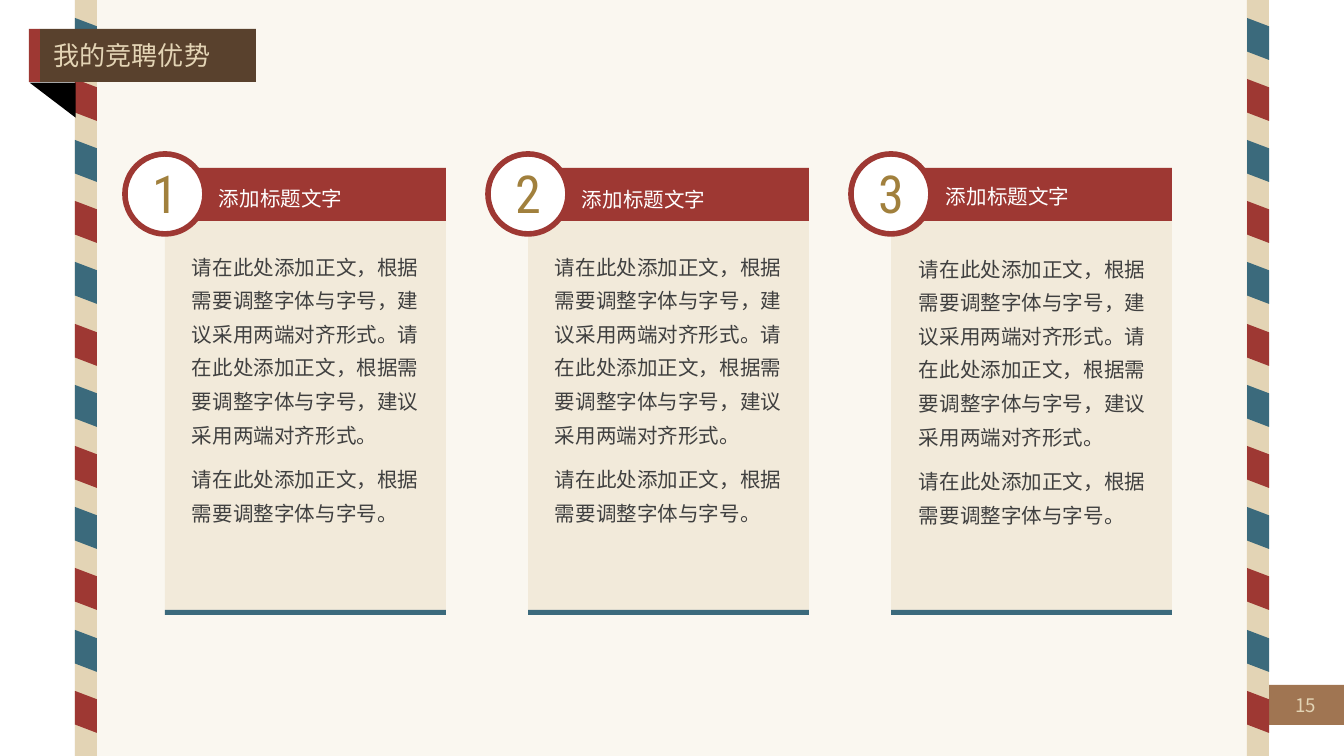
from dataclasses import dataclass

from lxml import etree
from pptx import Presentation
from pptx import util as u
from pptx.dml.color import RGBColor
from pptx.enum import shapes, text
from pptx.oxml.ns import qn

EMU_PER_PX = 9144000 / 1344
SANS = "Noto Sans CJK SC"
NUMERAL = "Roboto Condensed"
RED, BLUE, SAND = "9E3833", "3B6A7C", "E3D4B5"
RECT = shapes.MSO_SHAPE.RECTANGLE
SENTENCE = "请在此处添加正文，根据需要调整字体与字号"
BODY = [f"{SENTENCE}，建议采用两端对齐形式。" * 2, f"{SENTENCE}。"]


@dataclass
class Card:
    number: str
    heading: str
    heading_y: int
    body_y: int
    text_shift: int = 0


CARDS = [
    Card("1", "添加标题文字", 170, 239),
    Card("2", "添加标题文字", 171, 239),
    Card("3", "添加标题文字", 168, 241, 1),
]


def px(value: int) -> u.Emu:
    return u.Emu(round(value * EMU_PER_PX))


def rgb(colour: str) -> RGBColor:
    return RGBColor.from_string(colour)


def add_shape(parent, kind, x: int, y: int, w: int, h: int, fill: str,
              line: str | None = None, rotation: int = 0):
    sp = parent.add_shape(kind, px(x), px(y), px(w), px(h))
    sp.shadow.inherit = False
    sp.fill.solid()
    sp.fill.fore_color.rgb = rgb(fill)
    if line:
        sp.line.color.rgb = rgb(line)
        sp.line.width = u.Pt(3)
    else:
        sp.line.fill.background()
    sp.rotation = rotation
    return sp


def add_text(parent, content: str | list[str], x: int, y: int, w: int, h: int, *,
             size: int, colour: str, font: str = SANS, align=None,
             anchor=text.MSO_ANCHOR.TOP, wrap: bool = True, grow: bool = True,
             side_inset: float = 0.1, spacing: int | None = None, after: int = 0):
    tf = parent.add_textbox(px(x), px(y), px(w), px(h)).text_frame
    tf.word_wrap = wrap
    tf.vertical_anchor = anchor
    tf.margin_left = tf.margin_right = u.Inches(side_inset)
    if grow:
        tf.auto_size = text.MSO_AUTO_SIZE.SHAPE_TO_FIT_TEXT
    paragraphs = [content] if isinstance(content, str) else content
    for i, words in enumerate(paragraphs):
        p = tf.paragraphs[0] if i == 0 else tf.add_paragraph()
        p.alignment = align
        p.space_after = u.Pt(after)
        if spacing:
            p.line_spacing = u.Pt(spacing)
        r = p.add_run()
        r.text = words
        r.font.size = u.Pt(size)
        r.font.color.rgb = rgb(colour)
        r.font.name = font
        etree.SubElement(r._r.get_or_add_rPr(), qn("a:ea"), typeface=font)


def draw_border(parent, x: int) -> None:
    add_shape(parent, RECT, x, 0, 22, 756, SAND)
    for i in range(12):
        add_shape(parent, shapes.MSO_SHAPE.FLOWCHART_DATA, x - 10, 28 + i * 306 // 5,
                  42, 22, RED if i % 2 else BLUE, rotation=90)


def draw_banner(parent, title: str) -> None:
    add_shape(parent, RECT, 40, 29, 216, 53, "59412D")
    add_text(parent, title, 40, 33, 186, 46, size=14, colour=SAND, wrap=False)
    fold = add_shape(parent, shapes.MSO_SHAPE.RIGHT_TRIANGLE, 35, 77, 35, 46,
                     "000000", rotation=90)
    fold._element.spPr.find(qn("a:xfrm")).set("flipV", "1")
    add_shape(parent, RECT, 29, 29, 11, 53, RED)


def draw_card(parent, card: Card, x: int) -> None:
    add_shape(parent, RECT, x, 168, 281, 442, "F2EADA")
    add_shape(parent, RECT, x, 168, 281, 53, RED)
    add_shape(parent, RECT, x, 610, 281, 5, BLUE)
    add_shape(parent, shapes.MSO_SHAPE.OVAL, x - 40, 154, 80, 80, "FFFFFF", line=RED)
    add_text(parent, card.number, x - 27, 155, 54, 77, size=28, colour="A1803D",
             font=NUMERAL, align=text.PP_ALIGN.CENTER, wrap=False)
    text_x = x + card.text_shift
    add_text(parent, BODY, text_x + 27, card.body_y, 234, 296, size=11,
             colour="404040", side_inset=0, spacing=18, after=6)
    add_text(parent, card.heading, text_x + 54, card.heading_y, 222, 47, size=11,
             colour="FFFFFF", side_inset=0, spacing=18, after=6)


def main() -> None:
    prs = Presentation()
    prs.slide_width, prs.slide_height = px(1344), px(756)
    s = prs.slides.add_slide(prs.slide_layouts[6])
    add_shape(s.shapes, RECT, 1269, 685, 75, 40, "A07552")
    paper = s.shapes.add_group_shape().shapes
    add_shape(paper, RECT, 75, 0, 1194, 756, "FAF7F0")
    for x in (1247, 75):
        draw_border(paper, x)
    draw_banner(s.shapes.add_group_shape().shapes, "我的竞聘优势")
    add_text(s.shapes, "15", 1251, 685, 78, 40, size=10, colour=SAND, grow=False,
             align=text.PP_ALIGN.RIGHT, anchor=text.MSO_ANCHOR.MIDDLE)
    for i, card in enumerate(CARDS):
        draw_card(s.shapes.add_group_shape().shapes, card, 165 + 363 * i)
    prs.save("out.pptx")


if __name__ == "__main__":
    main()
